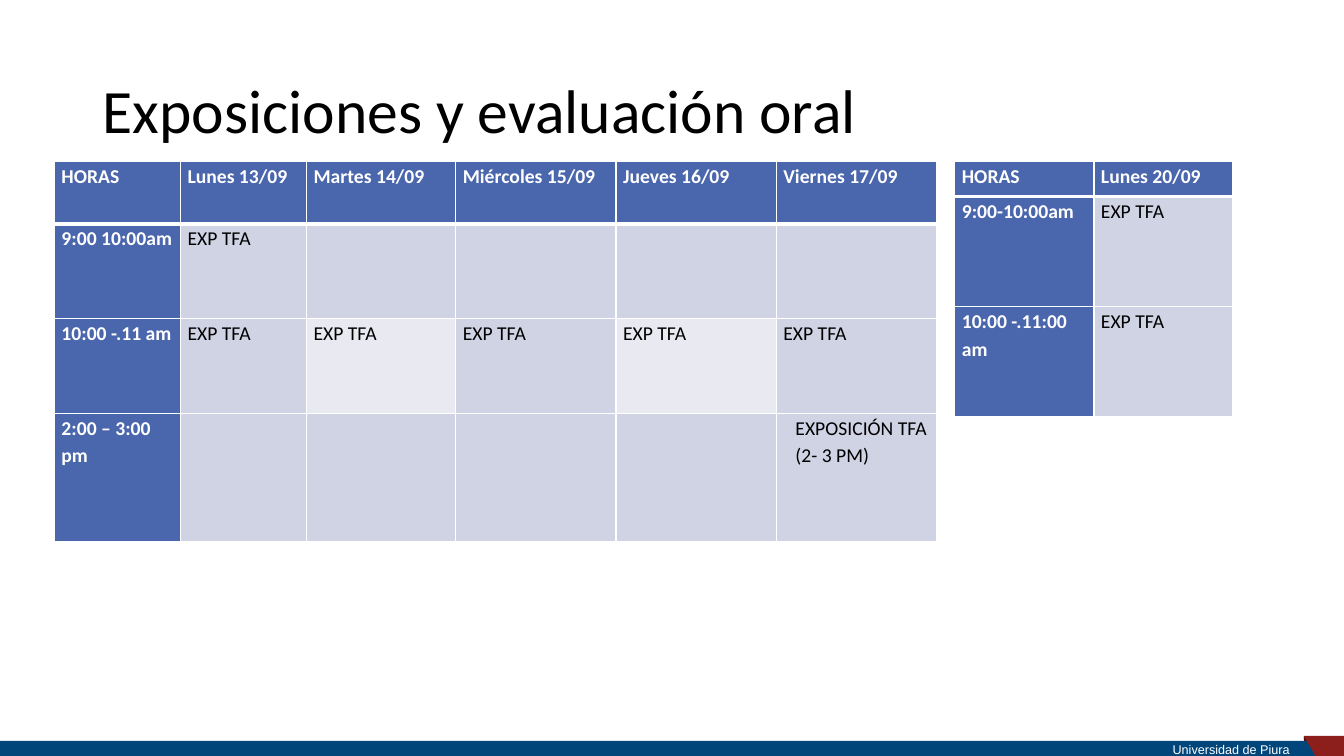
from pptx import Presentation
from pptx.dml.color import RGBColor
from pptx.enum.shapes import MSO_SHAPE
from pptx.enum.text import MSO_ANCHOR, PP_ALIGN
from pptx.oxml.xmlchemy import OxmlElement
from pptx.util import Inches, Pt

RECT = MSO_SHAPE.RECTANGLE
MIDDLE = MSO_ANCHOR.MIDDLE
LEFT, RIGHT = PP_ALIGN.LEFT, PP_ALIGN.RIGHT

COLORS = {"white": "FFFFFF", "black": "000000", "head": "4A66AC",
          "cell": "D0D3E3", "light": "E9EAF1", "bar": "00467A",
          "red": "8C1F1C", "fold": "49100F"}

TITLE = {"name": "Calibri", "size": Pt(44), "color": "black"}
FOOTER = {"name": "Arial", "size": Pt(9), "color": "white"}
HEAD = {"name": "Calibri", "size": Pt(14), "bold": True, "color": "white"}
BODY = {"name": "Calibri", "size": Pt(14), "bold": False, "color": "black"}

EXP = "EXP TFA"
WEEK = [
    ["HORAS", "Lunes 13/09", "Martes 14/09", "Miércoles 15/09",
     "Jueves 16/09", "Viernes 17/09"],
    ["9:00 10:00am", EXP, "", "", "", ""],
    ["10:00 -.11 am"] + [EXP] * 5,
    ["2:00 – 3:00 pm", "", "", "", "", "EXPOSICIÓN TFA (2- 3 PM)"],
]
MONDAY = [
    ["HORAS", "Lunes 20/09"],
    ["9:00-10:00am", EXP],
    ["10:00 -.11:00 am", EXP],
]


def rgb(name):
    return RGBColor.from_string(COLORS[name])


class SlideBuilder:
    def __init__(self, prs):
        self.s = prs.slides.add_slide(prs.slide_layouts[5])

    def add_text(self, tf, text, style, spacing, align=LEFT):
        p = tf.paragraphs[0]
        p.alignment, p.line_spacing = align, spacing
        r = p.add_run()
        r.text = text
        for key, value in style.items():
            if key == "color":
                r.font.color.rgb = rgb(value)
            else:
                setattr(r.font, key, value)
        return p

    def paint(self, sp, color):
        sp.shadow.inherit = False
        sp.fill.solid()
        sp.fill.fore_color.rgb = rgb(color)
        sp.line.fill.background()

    def title(self, text, box):
        sp = self.s.shapes.title
        sp.left, sp.top, sp.width, sp.height = map(Inches, box)
        sp.text_frame.vertical_anchor = MIDDLE
        self.add_text(sp.text_frame, text, TITLE, 0.9)

    def rect(self, box, color):
        self.paint(self.s.shapes.add_shape(RECT, *map(Inches, box)), color)

    def polygon(self, points, color):
        start, *rest = [(Inches(x), Inches(y)) for x, y in points]
        builder = self.s.shapes.build_freeform(*start)
        builder.add_line_segments(rest, close=True)
        self.paint(builder.convert_to_shape(), color)

    def footer(self, text, box):
        tf = self.s.shapes.add_textbox(*map(Inches, box)).text_frame
        margins = {"left": 0.1, "right": 0.55, "top": 0, "bottom": 0}
        for side, value in margins.items():
            setattr(tf, f"margin_{side}", Inches(value))
        tf.word_wrap = True
        tf.vertical_anchor = MIDDLE
        self.add_text(tf, text, FOOTER, 1.2, RIGHT)

    def borders(self, cell, widths):
        tcPr = cell._tc.get_or_add_tcPr()
        for i, (side, width) in enumerate(zip("LRTB", widths)):
            ln = OxmlElement(f"a:ln{side}")
            ln.set("w", str(Pt(width)))
            fill = OxmlElement("a:solidFill")
            color = OxmlElement("a:srgbClr")
            color.set("val", COLORS["white"])
            fill.append(color)
            ln.append(fill)
            tcPr.insert(i, ln)

    def table(self, rows, left, top, widths, heights, light=()):
        frame = self.s.shapes.add_table(
            len(rows), len(widths), Inches(left), Inches(top),
            Inches(sum(widths)), Inches(sum(heights)))
        tbl = frame.table
        tbl.first_col = True
        for col, width in zip(tbl.columns, widths):
            col.width = Inches(width)
        for row, height in zip(tbl.rows, heights):
            row.height = Inches(height)
        for i, row in enumerate(rows):
            for j, text in enumerate(row):
                cell = tbl.cell(i, j)
                is_head = i == 0 or j == 0
                fill = "head" if is_head else "light" if (i, j) in light else "cell"
                cell.fill.solid()
                cell.fill.fore_color.rgb = rgb(fill)
                cell.margin_left = cell.margin_right = Inches(0.07)
                cell.margin_top = cell.margin_bottom = 0
                self.borders(cell, (1, 1, 3 if i == 1 else 1, 3 if i == 0 else 1))
                if text:
                    p = self.add_text(cell.text_frame, text,
                                      HEAD if is_head else BODY, 1.15)
                    if text.startswith("EXPOSICIÓN"):
                        p._p.get_or_add_pPr().set("marL", str(Inches(0.12)))


def main():
    prs = Presentation()
    prs.slide_width, prs.slide_height = Inches(13.33), Inches(7.5)
    b = SlideBuilder(prs)

    # Footer band
    b.polygon([(12.93, 7.31), (12.94, 7.41), (13.04, 7.31)], "fold")
    b.rect((0, 7.35, 13.33, 0.15), "bar")
    b.footer("Universidad de Piura", (6.67, 7.34, 6.67, 0.15))
    b.polygon([(12.93, 7.3), (13.33, 7.3), (13.33, 7.5), (13.05, 7.5)], "red")

    # Title
    b.title("Exposiciones y evaluación oral", (0.92, 0.4, 11.5, 1.45))

    # Timetables
    b.table(WEEK, 0.54, 1.6, [1.25, 1.25, 1.48, 1.59, 1.59, 1.59],
            [0.62, 0.94, 0.94, 1.27], light={(2, 2), (2, 4)})
    b.table(MONDAY, 9.47, 1.6, [1.38] * 2, [0.35, 1.09, 1.09])

    prs.save("out.pptx")


if __name__ == "__main__":
    main()
